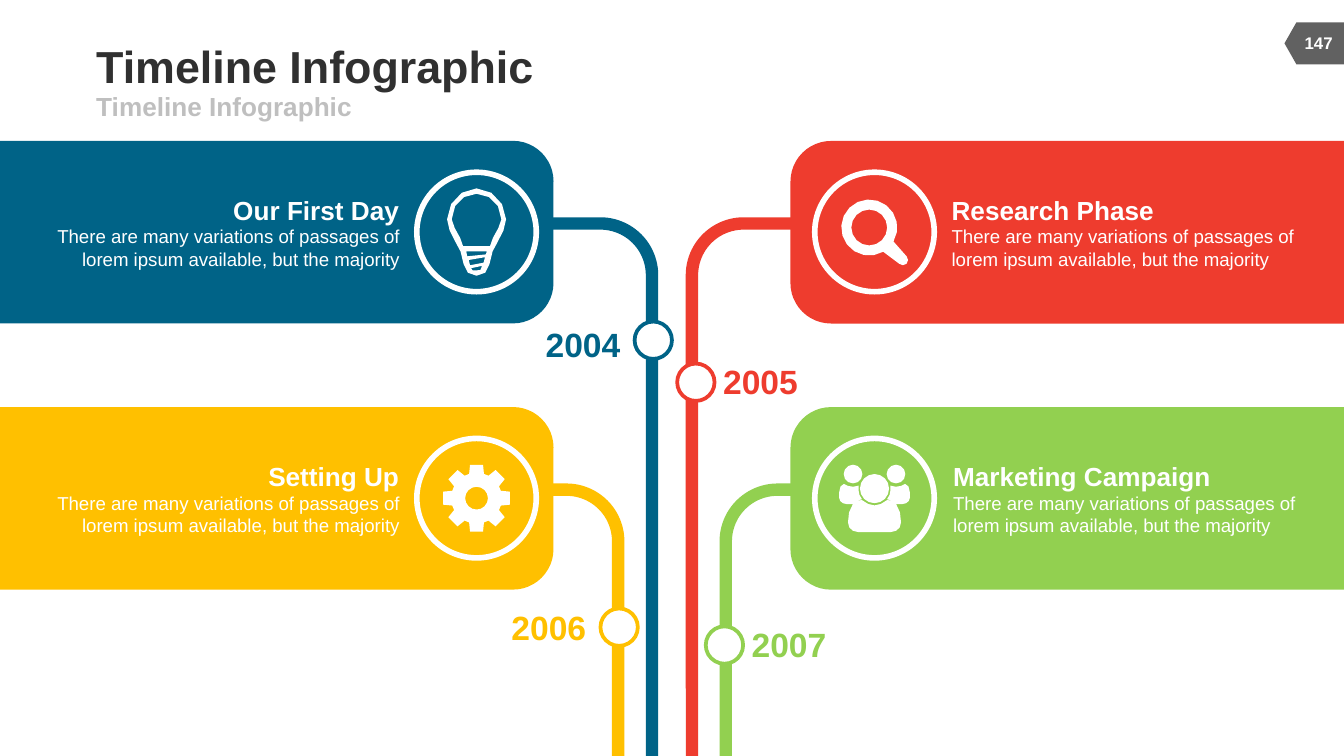
import math

import pptx
import pptx.dml.color
import pptx.enum.shapes
import pptx.enum.text
import pptx.util

Pt = pptx.util.Pt
SHAPE = pptx.enum.shapes.MSO_SHAPE
ALIGN = pptx.enum.text.PP_ALIGN
ANCHOR = pptx.enum.text.MSO_ANCHOR
WIDTH, HEIGHT = 720, 405
WHITE = "FFFFFF"
BODY = "There are many variations of passages of lorem ipsum available, but the majority"


def rgb(value):
    return pptx.dml.color.RGBColor.from_string(value)


def paint(s, fill, line=None, weight=0):
    s.shadow.inherit = False
    s.fill.solid()
    s.fill.fore_color.rgb = rgb(fill)
    if line:
        s.line.color.rgb = rgb(line)
        s.line.width = Pt(weight)
    else:
        s.line.fill.background()


def add_shape(slide, kind, box, fill, line=None, weight=0):
    s = slide.shapes.add_shape(kind, *map(Pt, box))
    paint(s, fill, line, weight)
    return s


def add_turned(slide, kind, box, fill, angle):
    """Fill the given box with a preset turned by a quarter."""
    x, y, w, h = box
    s = add_shape(slide, kind, (x + (w - h) / 2, y + (h - w) / 2, h, w), fill)
    s.rotation = angle
    return s


def add_text(slide, box, text, size, color, bold=True, align=ALIGN.LEFT, anchor=ANCHOR.MIDDLE):
    tf = slide.shapes.add_textbox(*map(Pt, box)).text_frame
    tf.margin_left = tf.margin_right = tf.margin_top = tf.margin_bottom = 0
    tf.word_wrap = True
    tf.vertical_anchor = anchor
    p = tf.paragraphs[0]
    p.alignment = align
    r = p.add_run()
    r.text = text
    r.font.name = "Arial"
    r.font.size = Pt(size)
    r.font.bold = bold
    r.font.color.rgb = rgb(color)


# Outlines, as points around the centre of an icon
def arc(cx, cy, radius, start=0, end=360, steps=16):
    angles = [math.radians(start + (end - start) * i / steps) for i in range(steps + 1)]
    return [(cx + radius * math.cos(a), cy + radius * math.sin(a)) for a in angles]


def curve(start, *beziers, steps=3):
    points = [start]
    for b, c, d in beziers:
        a = points[-1]
        for i in range(1, steps + 1):
            t = i / steps
            u = 1 - t
            points.append(tuple(u**3 * a[k] + 3 * u * u * t * b[k] + 3 * u * t * t * c[k]
                                + t**3 * d[k] for k in (0, 1)))
    return points


def mirror(points):
    return [(-x, y) for x, y in reversed(points)]


def bulb():
    glass = curve((0, -23.4), ((-8.6, -23.4), (-15.8, -15.5), (-15.8, -6.8)),
                  ((-15.8, -1), (-10.8, 5.4), (-8.6, 10.4)),
                  ((-6.5, 18.4), (-6.5, 23.4), (0, 23.4)))
    inside = curve((0, -20.5), ((-7.2, -20.5), (-13.3, -14.8), (-13.3, -6.8)),
                   ((-13.3, -3), (-7.2, 4), (-7.2, 7.6)))
    slits = [[(-5.5, 10.4), (5.5, 10.4), (5, 12), (-5, 13)],
             [(-4.2, 15), (4.5, 13.5), (3.8, 16.4), (-3.5, 17.8)],
             [(-3, 19.4), (3, 18.1), (2, 20.4), (-2, 20.6)]]
    return [glass + mirror(glass)[1:], inside + mirror(inside), *slits]


def magnifier():
    rim = arc(-2.8, -2.4, 15, 60, 390) + arc(15.2, 15, 2.8, -45, 135, 4)
    return [rim, arc(-2.8, -2.4, 9.6)]


def gear():
    teeth = []
    for angle in range(0, 360, 45):
        for offset, radius in ((-17, 13.6), (-11, 18.2), (11, 18.2), (17, 13.6)):
            a = math.radians(angle + offset)
            teeth.append((radius * math.cos(a), radius * math.sin(a)))
    return [teeth, arc(0, 0, 6.1)]


def people():
    front = curve((0, 3.9), ((-4, 3.9), (-6.2, 0.9), (-7, 0.9)),
                  ((-12.8, 0.9), (-14.2, 8), (-14.2, 13)),
                  ((-14.2, 16), (-12, 18.2), (-8.5, 18.2)))
    side = [(-11.9, 3.2)] + curve(
        (-14.8, 3.2), ((-17, 3.2), (-19, 1.8), (-19, -0.4)),
        ((-19, -2.5), (-19, -7.6), (-16.4, -7.6)),
        ((-14.5, -6.4), (-11.5, -5.4), (-8.5, -6.7)),
        ((-8.7, -4), (-8.5, -1.5), (-6.8, 0.4)))
    head = arc(-11.5, -12.9, 5, steps=12)
    return [front + mirror(front)[:-1], arc(0, -5.1, 7.8), side, mirror(side), head, mirror(head)]


def add_icon(slide, cx, cy, contours):
    placed = [[(Pt(cx + x), Pt(cy + y)) for x, y in c] for c in contours]
    builder = slide.shapes.build_freeform(*placed[0][0])
    for i, points in enumerate(placed):
        if i:
            builder.move_to(*points[0])
        builder.add_line_segments(points[1:], close=True)
    paint(builder.convert_to_shape(), WHITE)


def add_header(slide, box):
    x, y, w, h = box
    add_text(slide, (x, y, w, 28), "Timeline Infographic", 24, "303030")
    add_text(slide, (x, y + 28, w, h - 28), "Timeline Infographic", 14, "BFBFBF")


def add_page_tag(slide, box):
    add_turned(slide, SHAPE.FLOWCHART_OFFPAGE_CONNECTOR, box, "616161", 90)
    x, y, w, h = box
    add_text(slide, (x + 2.3, y - 0.5, w, h), "147", 9, WHITE, align=ALIGN.CENTER)


def add_panel(slide, box, left, color, title, icon, text_x):
    x, y, w, h = box
    s = add_turned(slide, SHAPE.ROUND_2_SAME_RECTANGLE, box, color, 90 if left else 270)
    s.adjustments[0] = 0.222
    # Icon in its ring
    cx, cy = (255.3 if left else 468.5), y + h / 2 - 0.1
    add_shape(slide, SHAPE.OVAL, (cx - 32, cy - 32, 64, 64), color, WHITE, 3)
    add_icon(slide, cx, cy, icon)
    # Heading and text
    align = ALIGN.RIGHT if left else ALIGN.LEFT
    add_text(slide, (text_x, y + 28.5, 198.7, 17), title, 14, WHITE, align=align)
    add_text(slide, (text_x, y + 45.2, 198.7, 24.5), BODY, 10, WHITE, False, align, ANCHOR.TOP)


def add_branch(slide, box, left, color, year, marker, year_y):
    s = add_turned(slide, SHAPE.BENT_ARROW, box, color, 90 if left else 270)
    for i, value in enumerate((0.177, 0.055, 0, 0.513)):
        s.adjustments[i] = value
    if not left:
        s._element.spPr.get_or_add_xfrm().set("flipH", "1")
    # Marker on the stem, with its year
    cx, cy = marker
    add_shape(slide, SHAPE.OVAL, (cx - 10, cy - 10, 20, 20), WHITE, color, 2)
    add_text(slide, (cx - 57.7 if left else cx + 14.6, year_y - 11, 42, 22), year, 18, color)


def main():
    prs = pptx.Presentation()
    prs.slide_width, prs.slide_height = Pt(WIDTH), Pt(HEIGHT)
    slide = prs.slides.add_slide(prs.slide_layouts[6])
    add_header(slide, (51.6, 21, 440, 43.8))
    add_page_tag(slide, (688.1, 12, 32, 22.5))

    panel_w, panel_h, stem_w = 296.5, 97.8, 60.5
    # left side, row, colour, title, icon, text left, year, marker centre, year centre
    events = [
        (True, 0, "006387", "Our First Day", bulb(), 15.2, "2004", (350, 182.3), 184.6),
        (False, 0, "EE3C2E", "Research Phase", magnifier(), 509.8, "2005", (372.8, 204.8), 204.4),
        (True, 1, "FFC000", "Setting Up", gear(), 15.2, "2006", (331.7, 336), 336.2),
        (False, 1, "92D050", "Marketing Campaign", people(), 510.6, "2007", (388.1, 345.6), 345.2),
    ]
    for left, row, color, title, icon, text_x, year, marker, year_y in events:
        top = 75.5 + 142.6 * row
        stem_x = 292.1 - 18.1 * row
        stem_top = top + 40.9
        branch = (stem_x if left else WIDTH - stem_x - stem_w, stem_top, stem_w, HEIGHT - stem_top)
        add_branch(slide, branch, left, color, year, marker, year_y)
        panel = (0 if left else WIDTH - panel_w, top, panel_w, panel_h)
        add_panel(slide, panel, left, color, title, icon, text_x)

    prs.save("out.pptx")


if __name__ == "__main__":
    main()
